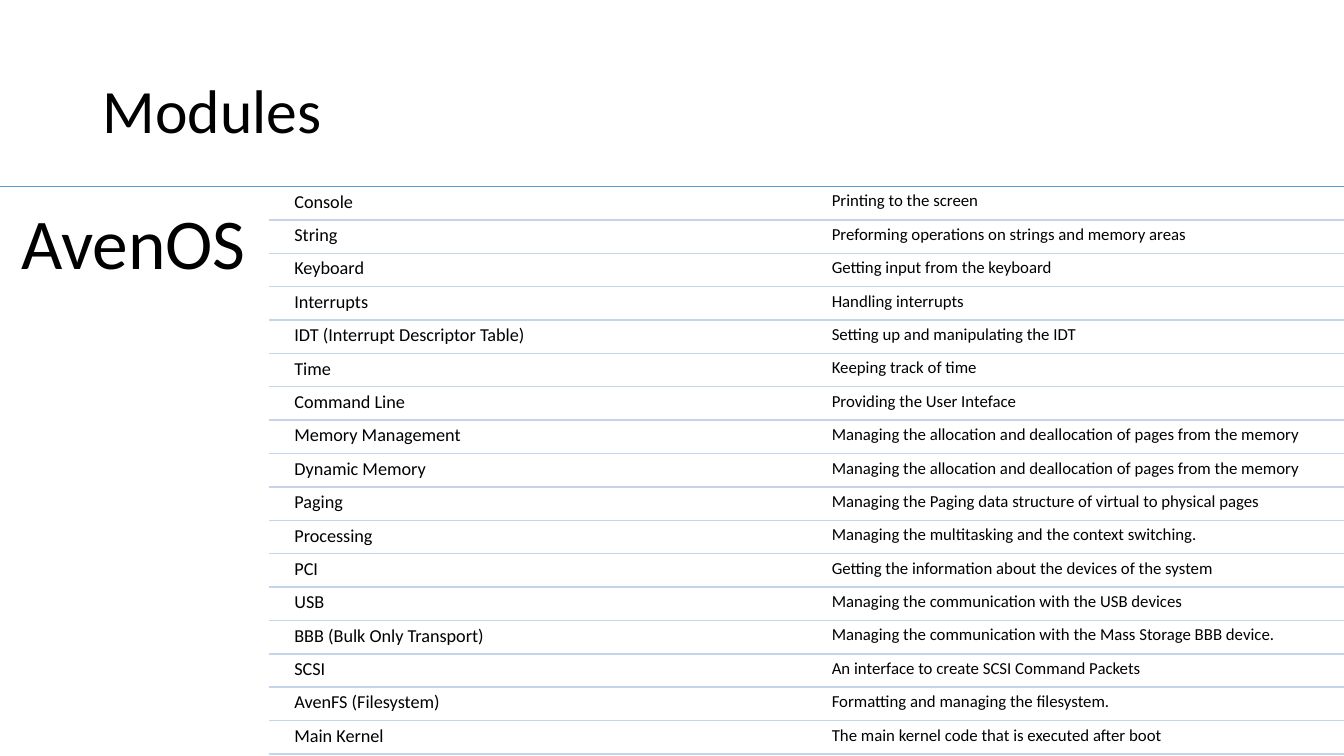
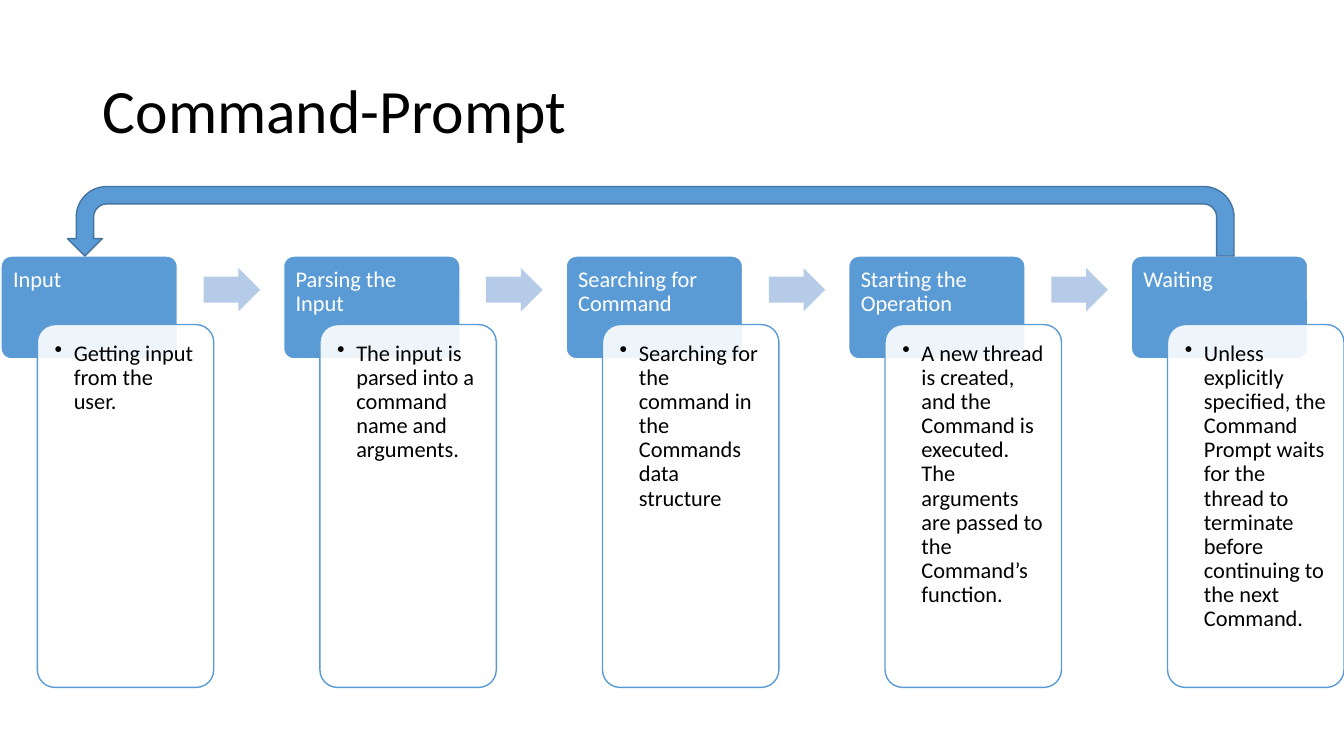
import pptx
import pptx.util
import pptx.dml.color
import pptx.enum.shapes
import pptx.enum.text
import pptx.oxml.ns
import pptx.oxml.xmlchemy

Inches = pptx.util.Inches
Pt = pptx.util.Pt
RGBColor = pptx.dml.color.RGBColor
MSO_SHAPE = pptx.enum.shapes.MSO_SHAPE
ANCHOR = pptx.enum.text.MSO_ANCHOR
ALIGN = pptx.enum.text.PP_ALIGN
OxmlElement = pptx.oxml.xmlchemy.OxmlElement
qn = pptx.oxml.ns.qn

# Shared style
FONT = "Calibri"
BLACK = RGBColor(0x00, 0x00, 0x00)
WHITE = RGBColor(0xFF, 0xFF, 0xFF)
BLUE = RGBColor(0x5B, 0x9B, 0xD5)
DARK_BLUE = RGBColor(0x43, 0x73, 0x9E)
ARROW_BLUE = RGBColor(0xB5, 0xCB, 0xE7)
RULE_BLUE = RGBColor(0xC4, 0xD5, 0xEB)
SLIDE_W, SLIDE_H = 13.33, 7.5
CONTENT_TOP = 1.85

MODULES = [
    ("Console", "Printing to the screen"),
    ("String", "Preforming operations on strings and memory areas"),
    ("Keyboard", "Getting input from the keyboard"),
    ("Interrupts", "Handling interrupts"),
    ("IDT (Interrupt Descriptor Table)", "Setting up and manipulating the IDT"),
    ("Time", "Keeping track of time"),
    ("Command Line", "Providing the User Inteface"),
    ("Memory Management",
     "Managing the allocation and deallocation of pages from the memory"),
    ("Dynamic Memory",
     "Managing the allocation and deallocation of pages from the memory"),
    ("Paging", "Managing the Paging data structure of virtual to physical pages"),
    ("Processing", "Managing the multitasking and the context switching."),
    ("PCI", "Getting the information about the devices of the system"),
    ("USB", "Managing the communication with the USB devices"),
    ("BBB (Bulk Only Transport)",
     "Managing the communication with the Mass Storage BBB device."),
    ("SCSI", "An interface to create SCSI Command Packets"),
    ("AvenFS (Filesystem)", "Formatting and managing the filesystem."),
    ("Main Kernel", "The main kernel code that is executed after boot"),
]

STEPS = [
    ("Input", "Getting input from the user."),
    ("Parsing the Input",
     "The input is parsed into a command name and arguments."),
    ("Searching for Command",
     "Searching for the command in the Commands data structure"),
    ("Starting the Operation",
     "A new thread is created, and the Command is executed. "
     "The arguments are passed to the Command\u2019s function."),
    ("Waiting",
     "Unless explicitly specified, the Command Prompt waits for the thread "
     "to terminate before continuing to the next Command."),
]


def set_text(tf, text, size, color=BLACK, inset=None, anchor=ANCHOR.TOP):
    """Fill a text frame with one left-aligned paragraph and return it."""
    tf.text = text
    tf.word_wrap = True
    tf.vertical_anchor = anchor
    if inset is not None:
        tf.margin_left = tf.margin_right = Inches(inset)
        tf.margin_top = tf.margin_bottom = Inches(inset)
    p = tf.paragraphs[0]
    p.alignment = ALIGN.LEFT
    p.line_spacing = 0.9
    font = p.runs[0].font
    font.name, font.size, font.color.rgb = FONT, Pt(size), color
    return p


def add_titled_slide(prs, title):
    s = prs.slides.add_slide(prs.slide_layouts[5])
    sp = s.shapes.title
    sp.left, sp.top = Inches(0.92), Inches(0.4)
    sp.width, sp.height = Inches(11.5), Inches(1.45)
    set_text(sp.text_frame, title, 44, anchor=ANCHOR.MIDDLE)
    return s


def add_text(s, x, y, w, h, text, size, inset):
    sp = s.shapes.add_textbox(Inches(x), Inches(y), Inches(w), Inches(h))
    set_text(sp.text_frame, text, size, inset=inset)


def add_rule(s, x, y, color):
    """Draw a horizontal line from x to the right edge."""
    line = s.shapes.add_connector(
        pptx.enum.shapes.MSO_CONNECTOR.STRAIGHT,
        Inches(x), Inches(y), Inches(SLIDE_W), Inches(y))
    line.line.color.rgb = color
    line.line.width = Pt(1)
    line._element.spPr.append(OxmlElement("a:effectLst"))


def add_block(s, kind, x, y, w, h, fill, line=None, adjustments=()):
    sp = s.shapes.add_shape(kind, Inches(x), Inches(y), Inches(w), Inches(h))
    sp.shadow.inherit = False
    for i, value in enumerate(adjustments):
        sp.adjustments[i] = value
    sp.fill.solid()
    sp.fill.fore_color.rgb = fill
    if line is None:
        sp.line.fill.background()
    else:
        sp.line.color.rgb = line
        sp.line.width = Pt(1)
    return sp


def set_opacity(sp, percent):
    color = sp._element.spPr.find(qn("a:solidFill")).find(qn("a:srgbClr"))
    alpha = OxmlElement("a:alpha")
    alpha.set("val", str(percent * 1000))
    color.append(alpha)


def add_bullet(p, indent):
    pPr = p._p.get_or_add_pPr()
    pPr.set("marL", str(int(Inches(indent))))
    pPr.set("indent", str(-int(Inches(indent))))
    bullet = OxmlElement("a:buChar")
    bullet.set("char", "\u2022")
    pPr.append(bullet)


def add_step(s, x, heading, detail):
    """Draw a heading block with its overlapping detail card."""
    head = add_block(s, MSO_SHAPE.ROUNDED_RECTANGLE, x, 2.54, 1.75, 1.02,
                     BLUE, WHITE, [0.1])
    set_text(head.text_frame, heading, 16, WHITE, inset=0.09)
    card = add_block(s, MSO_SHAPE.ROUNDED_RECTANGLE, x + 0.36, 3.22, 1.75, 3.6,
                     WHITE, BLUE, [0.1])
    set_opacity(card, 90)
    add_bullet(set_text(card.text_frame, detail, 16, inset=0.12), 0.19)


def build_modules(prs):
    s = add_titled_slide(prs, "Modules")
    add_rule(s, 0, CONTENT_TOP, BLUE)
    add_text(s, 0, CONTENT_TOP, 2.67, SLIDE_H - CONTENT_TOP, "AvenOS", 51, 0.21)

    # Module rows, each closed by a rule
    row_h = (7.48 - CONTENT_TOP) / len(MODULES)
    for i, (name, purpose) in enumerate(MODULES):
        y = CONTENT_TOP + i * row_h
        add_text(s, 2.87, y + 0.01, 5.13, 0.32, name, 13, 0.05)
        add_text(s, 8.2, y + 0.01, 5.13, 0.32, purpose, 12, 0.05)
        add_rule(s, 2.67, y + row_h, RULE_BLUE)


def build_command_prompt(prs):
    s = add_titled_slide(prs, "Command-Prompt")

    # Steps with arrows between them
    first_x, last_x = 0.01, 11.22
    pitch = (last_x - first_x) / (len(STEPS) - 1)
    for i, (heading, detail) in enumerate(STEPS):
        x = first_x + i * pitch
        add_step(s, x, heading, detail)
        if i < len(STEPS) - 1:
            add_block(s, MSO_SHAPE.RIGHT_ARROW, x + 2.01, 2.66, 0.56, 0.43,
                      ARROW_BLUE, adjustments=[0.6, 0.5])

    # Loop from the last step back to the first
    loop = add_block(s, MSO_SHAPE.U_TURN_ARROW, 0.67, CONTENT_TOP, 11.57, 0.69,
                     BLUE, DARK_BLUE, [0.25, 0.25, 0.25, 0.44, 1])
    loop._element.spPr.find(qn("a:xfrm")).set("flipH", "1")


def main():
    prs = pptx.Presentation()
    prs.slide_width, prs.slide_height = Inches(SLIDE_W), Inches(SLIDE_H)
    build_modules(prs)
    build_command_prompt(prs)
    prs.save("out.pptx")


main()
